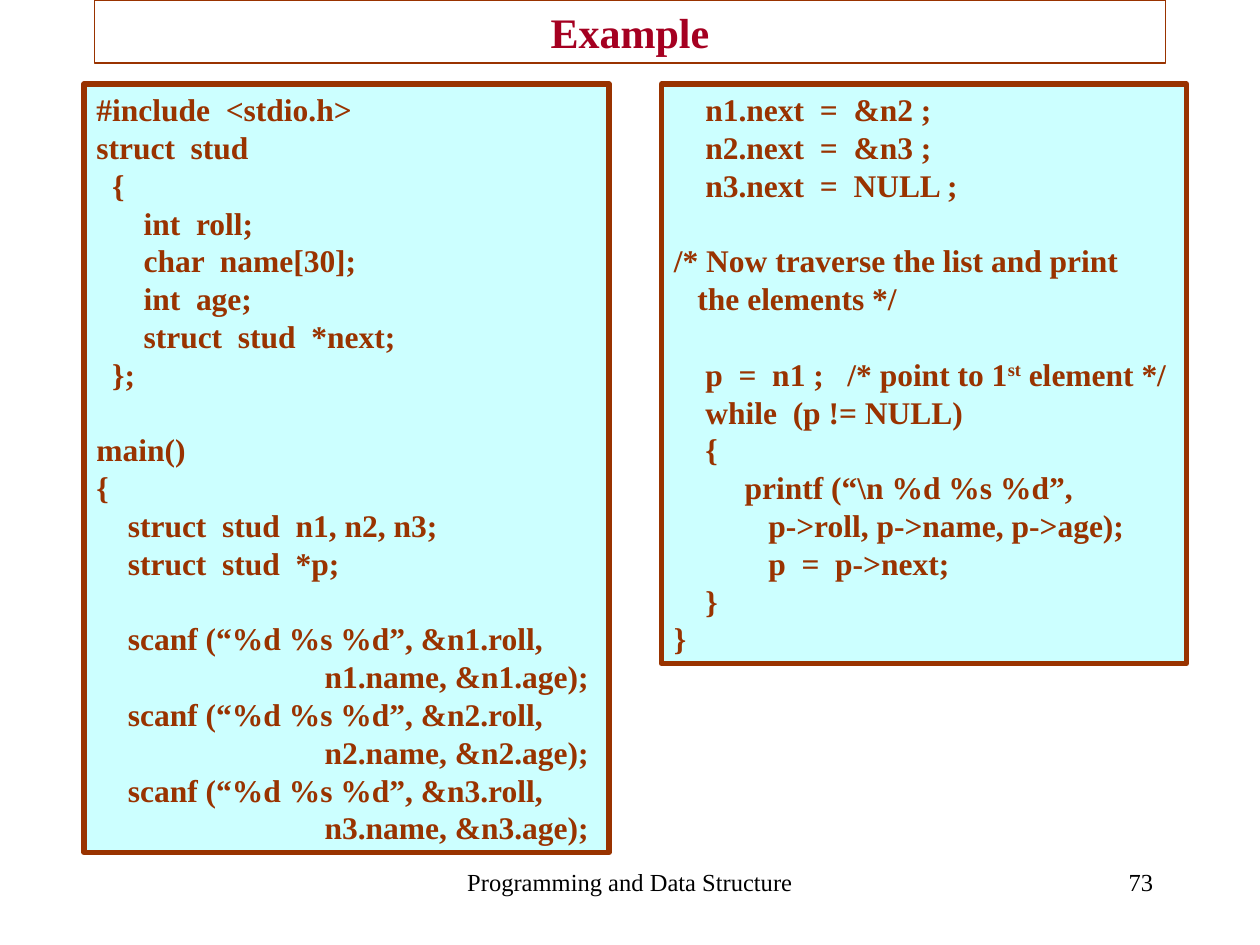
from pptx import Presentation
from pptx.dml.color import RGBColor as Rgb
from pptx.enum.shapes import MSO_SHAPE as Kind
from pptx.enum.text import MSO_ANCHOR as Anchor, PP_ALIGN as Align
from pptx.util import Inches, Pt

INK = {"title": "A50021", "code": "993300", "panel": "CCFFFF", "foot": "000000"}
LEAD = 21.6

deck = Presentation()
deck.slide_width, deck.slide_height = Inches(10), Inches(7.5)
unit = deck.slide_width / 120
slide = deck.slides.add_slide(deck.slide_layouts[6])


def frame(col, row, wide, high, edge, fill=None):
    box = slide.shapes.add_shape(Kind.RECTANGLE, *(round(n * unit) for n in (col, row, wide, high)))
    box.shadow.inherit = False
    if fill:
        box.fill.solid()
        box.fill.fore_color.rgb = Rgb.from_string(INK[fill])
    else:
        box.fill.background()
    box.line.color.rgb = Rgb.from_string(INK["code"])
    box.line.width = Pt(edge)
    return box.text_frame


def style(para, size, ink, bold, align):
    para.alignment = align
    font = para.font
    font.name, font.size, font.bold = "Times New Roman", Pt(size), bold
    font.color.rgb = Rgb.from_string(INK[ink])


feet = [
    (41, 38, "Programming and Data Structure", Align.CENTER),
    (86, 25, "73", Align.RIGHT),
]
for col, wide, words, align in feet:
    foot = slide.shapes.add_textbox(*(round(n * unit) for n in (col, 82, wide, 6))).text_frame
    foot.word_wrap = True
    foot.text = words
    style(foot.paragraphs[0], 14, "foot", False, align)

title = frame(9, 0, 102, 6, 0.75)
title.vertical_anchor = Anchor.MIDDLE
title.text = "Example"
style(title.paragraphs[0], 24, "title", True, Align.CENTER)

left = """#include  <stdio.h>
struct  stud
  {
      int  roll;
      char  name[30];
      int  age;
      struct  stud  *next;
  };

main()
{
    struct  stud  n1, n2, n3;
    struct  stud  *p;

    scanf (“%d %s %d”, &n1.roll,
                             n1.name, &n1.age);
    scanf (“%d %s %d”, &n2.roll,
                             n2.name, &n2.age);
    scanf (“%d %s %d”, &n3.roll,
                             n3.name, &n3.age);"""

right = r"""    n1.next  =  &n2 ;
    n2.next  =  &n3 ;
    n3.next  =  NULL ;

/* Now traverse the list and print
   the elements */

    p  =  n1 ;   /* point to 1^st^ element */
    while  (p != NULL)
    {
         printf (“\n %d %s %d”,
            p->roll, p->name, p->age);
            p  =  p->next;
    }
}"""

for col, code in ((8, left), (63, right)):
    lines = code.split("\n")
    panel = frame(col, 8, 50, len(lines) * LEAD / 6 + 1.2, 3, "panel")
    panel.word_wrap = True
    panel.vertical_anchor = Anchor.TOP
    para, gap = panel.paragraphs[0], 0
    for num, line in enumerate(lines):
        if not line:
            gap = LEAD
            continue
        if num:
            para = panel.add_paragraph()
        para.line_spacing = Pt(LEAD)
        para.space_before = Pt(gap)
        gap = 0
        style(para, 18, "code", True, Align.LEFT)
        for part, words in enumerate(line.split("^")):
            run = para.add_run()
            run.text = words
            if part == 1:
                run.font._element.set("baseline", "30000")

deck.save("out.pptx")
